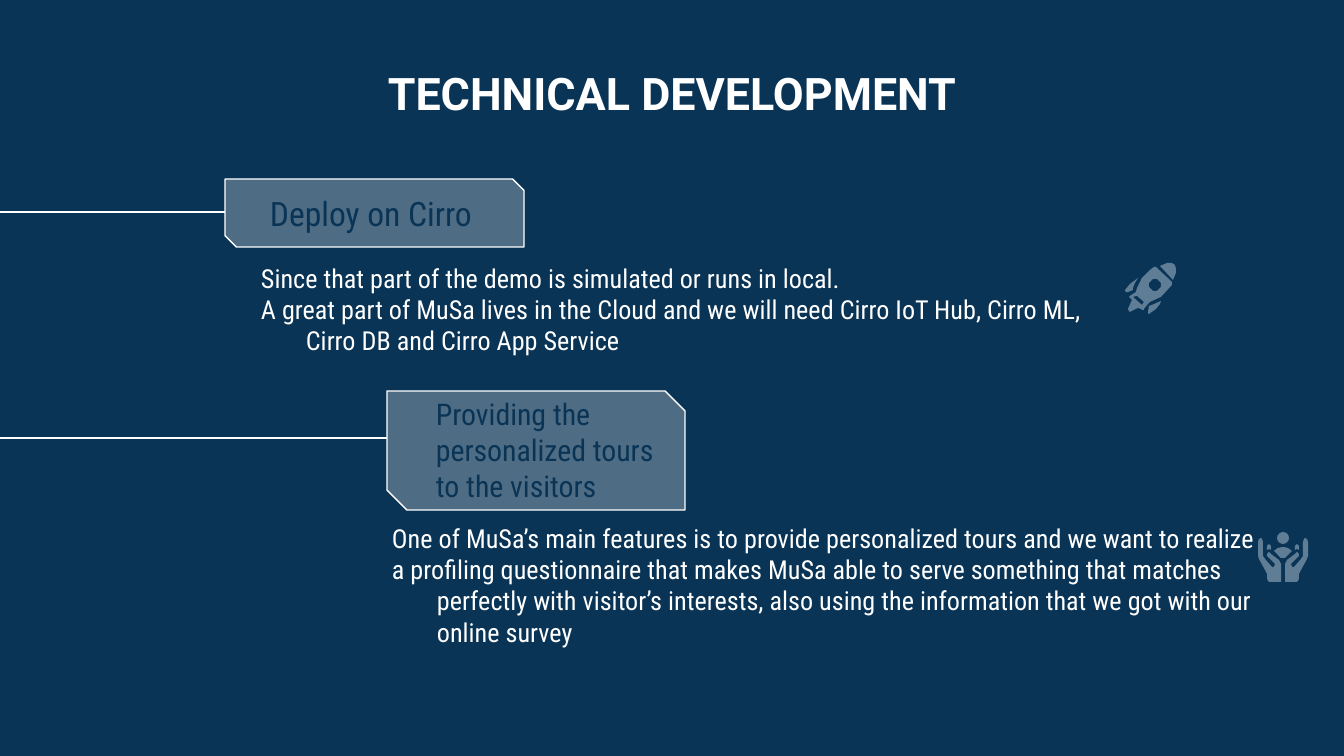
from dataclasses import dataclass
from math import cos, pi, sin

from lxml.etree import SubElement
from pptx import Presentation
from pptx.dml.color import RGBColor
from pptx.enum.shapes import MSO_CONNECTOR, MSO_SHAPE
from pptx.enum.text import MSO_ANCHOR, MSO_AUTO_SIZE, PP_ALIGN
from pptx.oxml.ns import qn
from pptx.util import Pt


@dataclass(frozen=True)
class Theme:
    navy: RGBColor = RGBColor(0x0A, 0x34, 0x55)
    white: RGBColor = RGBColor(0xFF, 0xFF, 0xFF)
    icon: RGBColor = RGBColor(0x5F, 0x7D, 0x95)
    title_font: str = "Roboto"
    body_font: str = "Roboto Condensed"
    title_size: int = 24
    body_size: int = 14
    line_width: float = 0.75
    inset: int = 13


theme = Theme()
PX = 9144000 / 1344


def fill_text(box, frame, lines, font, size, color, bold=False, hanging=False):
    """Place a text box (frame in px) and write one paragraph per line."""
    box.left, box.top, box.width, box.height = [round(n * PX) for n in frame]
    text = box.text_frame
    text.word_wrap = True
    text.auto_size = MSO_AUTO_SIZE.NONE
    text.vertical_anchor = MSO_ANCHOR.TOP
    text.margin_left = text.margin_right = round(theme.inset * PX)
    text.margin_top = text.margin_bottom = round(theme.inset * PX)
    for index, line in enumerate(lines):
        para = text.add_paragraph() if index else text.paragraphs[0]
        para.alignment = PP_ALIGN.CENTER if bold else PP_ALIGN.LEFT
        if hanging:
            properties = para._p.get_or_add_pPr()
            properties.set("marL", str(round(67 * PX)))
            properties.set("indent", str(round(-45 * PX)))
        span = para.add_run()
        span.text = line
        span.font.name = font
        span.font.size = Pt(size)
        span.font.bold = bold
        span.font.color.rgb = color


def draw_outline(shapes, *contours):
    """Draw a flat icon part; contours after the first are holes."""
    builder = shapes.build_freeform(*contours[0][0], scale=PX)
    builder.add_line_segments(contours[0][1:])
    for hole in contours[1:]:
        builder.move_to(*hole[0])
        builder.add_line_segments(hole[1:])
    part = builder.convert_to_shape()
    part.shadow.inherit = False
    part.fill.solid()
    part.fill.fore_color.rgb = theme.icon
    part.line.fill.background()


deck = Presentation()
deck.slide_width, deck.slide_height = round(1344 * PX), round(756 * PX)
page = deck.slides.add_slide(deck.slide_layouts[5])
page.background.fill.solid()
page.background.fill.fore_color.rgb = theme.navy

fill_text(page.shapes.title, (289, 53, 766, 138), ["TECHNICAL DEVELOPMENT"],
          theme.title_font, theme.title_size, theme.white, bold=True)

# Each topic: tag frame, line height, label frame, label size, label, body frame, body
topics = [
    ((225, 179, 299, 68), 212, (257, 180, 298, 59), 18, ["Deploy on Cirro"],
     (226, 249, 890, 79),
     ["Since that part of the demo is simulated or runs in local.",
      "A great part of MuSa lives in the Cloud and we will need Cirro IoT Hub, "
      "Cirro ML, Cirro DB and Cirro App Service"]),
    ((387, 391, 298, 119), 438, (423, 383, 372, 181), 16,
     ["Providing the", "personalized tours", "to the visitors"],
     (357, 509, 926, 79),
     ["One of MuSa’s main features is to provide personalized tours and we want to realize",
      "a profiling questionnaire that makes MuSa able to serve something that matches "
      "perfectly with visitor’s interests, also using the information that we got with "
      "our online survey"]),
]
for tag_frame, line_y, label_frame, label_size, label, body_frame, body in topics:
    lead = page.shapes.add_connector(
        MSO_CONNECTOR.STRAIGHT, round(tag_frame[0] * PX), round(line_y * PX),
        0, round(line_y * PX))
    lead.line.color.rgb = theme.white
    lead.line.width = Pt(theme.line_width)
    SubElement(lead._element.spPr, qn("a:effectLst"))

    tag = page.shapes.add_shape(MSO_SHAPE.SNIP_2_DIAG_RECTANGLE,
                                *[round(n * PX) for n in tag_frame])
    tag.adjustments[0], tag.adjustments[1] = 0, 0.167
    tag.shadow.inherit = False
    tag.fill.solid()
    tag.fill.fore_color.rgb = theme.white
    fill_color = tag._element.spPr.find(qn("a:solidFill"))[0]
    SubElement(fill_color, qn("a:alpha")).set("val", "28000")
    tag.line.color.rgb = theme.white
    tag.line.width = Pt(theme.line_width)

    fill_text(page.shapes.add_textbox(0, 0, 0, 0), label_frame, label,
              theme.body_font, label_size, theme.navy)
    fill_text(page.shapes.add_textbox(0, 0, 0, 0), body_frame, body,
              theme.body_font, theme.body_size, theme.white, hanging=True)

# Raised hands holding a person, symmetric about x = 1283
hands = page.shapes.add_group_shape().shapes
hand = [(1261, 538), (1259, 539), (1258, 542), (1258, 556), (1259, 559), (1265, 570),
        (1267, 574), (1267, 579), (1269, 582), (1281, 582), (1281, 564), (1279, 560),
        (1271, 554), (1269, 552), (1267, 554), (1267, 556), (1275, 564), (1274, 567),
        (1272, 567), (1265, 559), (1263, 556), (1263, 542), (1262, 539)]
fingertip = [(1269, 544), (1267, 546), (1267, 550), (1269, 549), (1271, 550), (1271, 546)]
for half in (hand, fingertip):
    draw_outline(hands, half)
    draw_outline(hands, [(2566 - x, y) for x, y in half])
draw_outline(hands, [(1274, 551), (1278, 548), (1283, 547), (1288, 548), (1292, 551),
                     (1285, 558), (1281, 558)])
head = hands.add_shape(MSO_SHAPE.OVAL, *[round(n * PX) for n in (1277, 532, 12, 12)])
head.shadow.inherit = False
head.fill.solid()
head.fill.fore_color.rgb = theme.icon
head.line.fill.background()

# Rocket
rocket = page.shapes.add_group_shape().shapes
body = [(1156, 267), (1154, 267), (1150, 270), (1142, 278), (1137, 288), (1136, 292),
        (1130, 296), (1129, 297), (1130, 298), (1132, 300), (1128, 309), (1129, 311),
        (1130, 312), (1138, 308), (1141, 309), (1142, 310), (1144, 310), (1144, 309),
        (1148, 304), (1150, 302), (1161, 297), (1172, 285), (1172, 282)]
porthole = [(1155 + 6 * cos(step * pi / 8), 285 + 6 * sin(step * pi / 8))
            for step in range(16)]
slot = [(1137, 296), (1144, 302), (1142, 305), (1133, 297)]
nose = [(1172, 263), (1167, 263), (1160, 266), (1173, 280), (1176, 273), (1176, 269),
        (1175, 265)]
lower_fin = [(1161, 301), (1152, 305), (1149, 306), (1148, 312), (1148, 313),
             (1149, 314), (1156, 309), (1160, 304)]
upper_fin = [(1138, 278), (1130, 284), (1125, 290), (1126, 292), (1128, 292),
             (1133, 290), (1133, 288), (1135, 283)]
draw_outline(rocket, body, porthole, slot)
for part in (nose, lower_fin, upper_fin):
    draw_outline(rocket, part)

deck.save("out.pptx")
